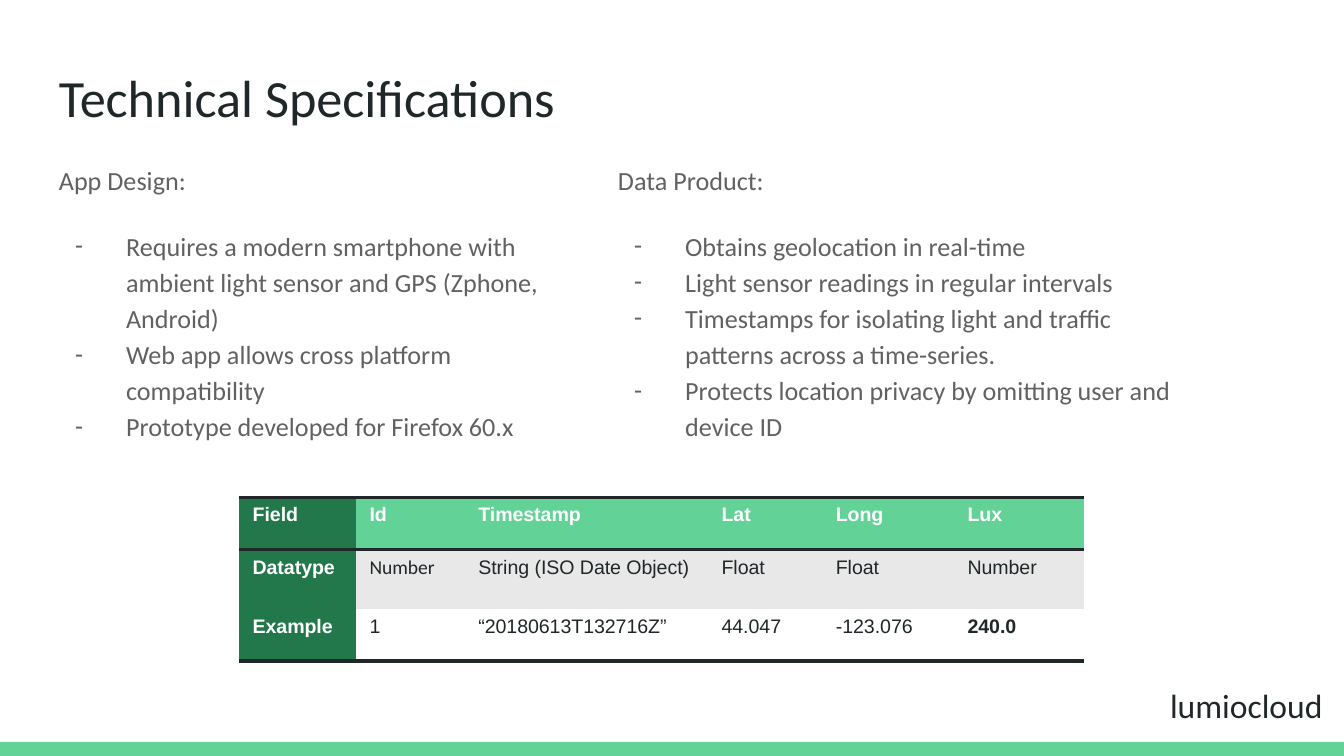
from lxml.etree import SubElement
from pptx import Presentation
from pptx.dml.color import RGBColor
from pptx.enum.shapes import MSO_SHAPE
from pptx.enum.text import MSO_ANCHOR, PP_ALIGN
from pptx.oxml.ns import qn
from pptx.util import Inches, Pt

INK, GRAY, WHITE = "202729", "616161", "FFFFFF"
GREEN, DARK_GREEN, SILVER = "63D297", "23784B", "E8E8E8"

DESIGN = [
    "Requires a modern smartphone with ambient light sensor and GPS (Zphone, Android)",
    "Web app allows cross platform compatibility",
    "Prototype developed for Firefox 60.x",
]
PRODUCT = [
    "Obtains geolocation in real-time",
    "Light sensor readings in regular intervals",
    "Timestamps for isolating light and traffic patterns across a time-series.",
    "Protects location privacy by omitting user and device ID",
]
FIELDS = [
    ["Field", "Id", "Timestamp", "Lat", "Long", "Lux"],
    ["Datatype", "Number", "String (ISO Date Object)", "Float", "Float", "Number"],
    ["Example", "1", "“20180613T132716Z”", "44.047", "-123.076", "240.0"],
]
COLUMN_WIDTHS = [0.87, 0.81, 1.81, 0.85, 0.98, 0.97]
ROW_HEIGHTS = [0.39, 0.44, 0.39]
ROW_FILLS = [GREEN, SILVER, WHITE]


def color(value):
    return RGBColor.from_string(value)


class SlideWriter:
    """Holds the text style and the page being filled."""

    def __init__(self, page, font="Calibri"):
        self.page = page
        self.font = font

    def style(self, para, size, ink, font=None, bold=False):
        para.font.name = font or self.font
        para.font.size = Pt(size)
        para.font.bold = bold
        para.font.color.rgb = color(ink)

    def bar(self, left, top, width, height, fill):
        shape = self.page.shapes.add_shape(
            MSO_SHAPE.RECTANGLE, Inches(left), Inches(top), Inches(width), Inches(height))
        shape.shadow.inherit = False
        shape.fill.solid()
        shape.fill.fore_color.rgb = color(fill)
        shape.line.fill.background()

    def frame(self, left, top, width, height):
        box = self.page.shapes.add_textbox(
            Inches(left), Inches(top), Inches(width), Inches(height))
        frame = box.text_frame
        frame.word_wrap = True
        frame.margin_left = frame.margin_right = Inches(0.1)
        frame.margin_top = frame.margin_bottom = Inches(0.1)
        return frame

    def line(self, left, top, width, height, text, size,
             align=PP_ALIGN.LEFT, anchor=MSO_ANCHOR.TOP):
        frame = self.frame(left, top, width, height)
        frame.vertical_anchor = anchor
        para = frame.paragraphs[0]
        para.text = text
        para.alignment = align
        self.style(para, size, INK)

    def bullet(self, para):
        props = para._p.get_or_add_pPr()
        props.set("marL", str(Inches(0.5)))
        props.set("indent", str(Inches(-0.38)))
        tint = SubElement(props, qn("a:buClr"))
        SubElement(tint, qn("a:srgbClr"), val=GRAY)
        SubElement(props, qn("a:buFont"), typeface=self.font)
        SubElement(props, qn("a:buChar"), char="-")

    def listing(self, left, top, width, height, heading, items):
        frame = self.frame(left, top, width, height)
        for index, text in enumerate([heading] + items):
            para = frame.add_paragraph() if index else frame.paragraphs[0]
            para.text = text
            para.line_spacing = 1.15
            if index:
                para.space_before = Pt(16 if index == 1 else 0)
                self.bullet(para)
            self.style(para, 14, GRAY)

    def borders(self, cell, ruled):
        props = cell._tc.get_or_add_tcPr()
        for index, side in enumerate(["L", "R", "T", "B"]):
            edge = SubElement(props, qn(f"a:ln{side}"))
            if side in ruled:
                edge.set("w", str(Pt(2)))
                fill = SubElement(edge, qn("a:solidFill"))
                SubElement(fill, qn("a:srgbClr"), val=INK)
            else:
                SubElement(edge, qn("a:noFill"))
            props.insert(index, edge)

    def table(self, left, top, rows):
        table = self.page.shapes.add_table(
            len(rows), len(rows[0]), Inches(left), Inches(top),
            Inches(sum(COLUMN_WIDTHS)), Inches(sum(ROW_HEIGHTS))).table
        for column, width in zip(table.columns, COLUMN_WIDTHS):
            column.width = Inches(width)
        for row, height in zip(table.rows, ROW_HEIGHTS):
            row.height = Inches(height)
        for r, texts in enumerate(rows):
            for c, text in enumerate(texts):
                cell = table.cell(r, c)
                cell.fill.solid()
                cell.fill.fore_color.rgb = color(ROW_FILLS[r] if c else DARK_GREEN)
                self.borders(cell, ["TB", "T", "B"][r])
                para = cell.text_frame.paragraphs[0]
                para.text = text
                header = r == 0 or c == 0
                self.style(para, 10.5, WHITE if header else INK,
                           font="Calibri" if (r, c) == (1, 1) else "Arial",
                           bold=header or text == "240.0")


def main():
    deck = Presentation()
    deck.slide_width = Inches(10)
    deck.slide_height = deck.slide_width * 9 // 16
    writer = SlideWriter(deck.slides.add_slide(deck.slide_layouts[6]))
    writer.bar(0, 5.52, 10, 0.11, GREEN)
    writer.line(8.41, 5, 1.53, 0.53, "lumiocloud", 18, align=PP_ALIGN.RIGHT)
    writer.listing(0.34, 1.09, 4.16, 4.02, "App Design:", DESIGN)
    writer.line(0.34, 0.27, 6.15, 0.89, "Technical Specifications", 28,
                anchor=MSO_ANCHOR.MIDDLE)
    writer.listing(4.5, 1.09, 4.46, 2.74, "Data Product:", PRODUCT)
    writer.table(1.78, 3.7, FIELDS)
    deck.save("out.pptx")


if __name__ == "__main__":
    main()
